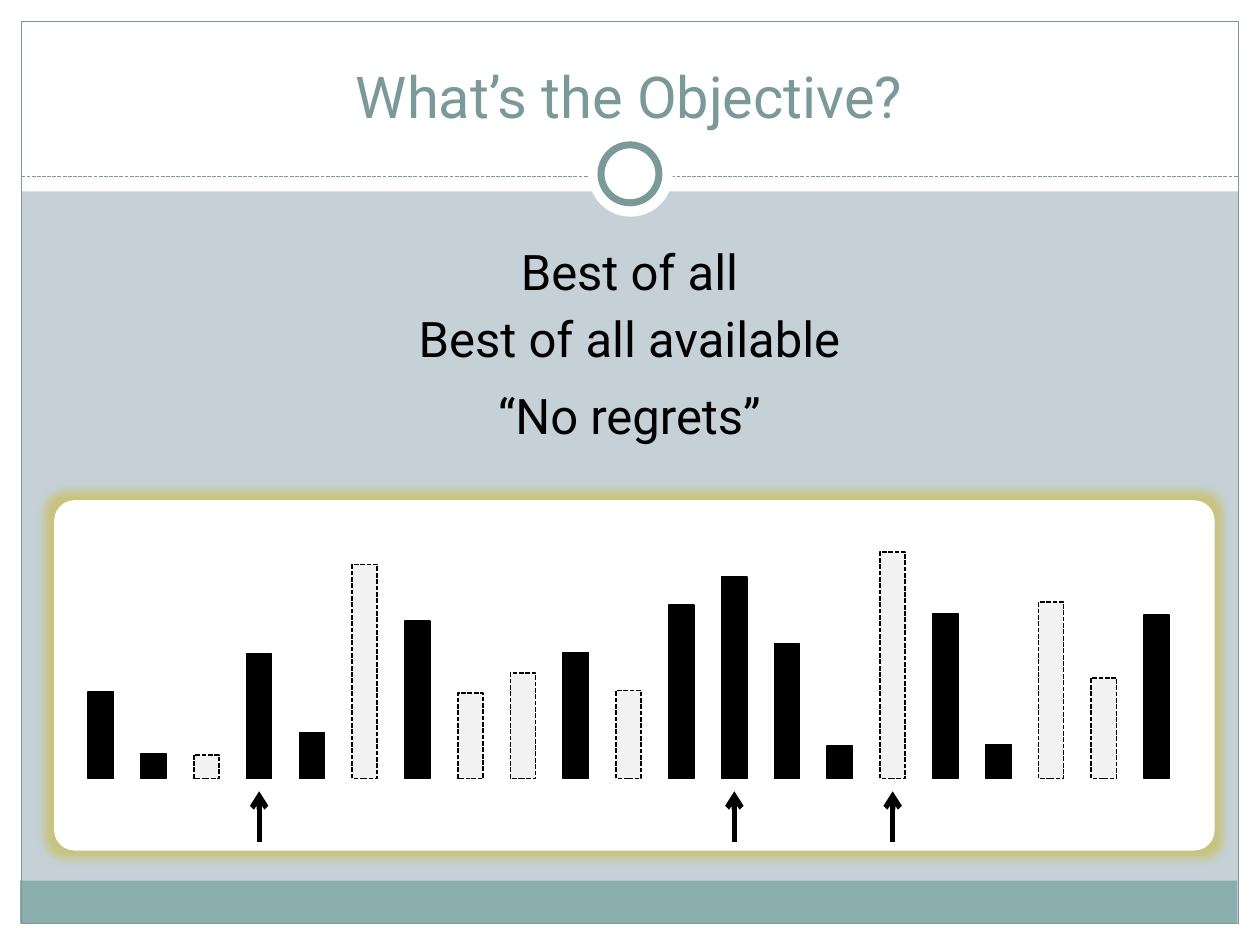
from lxml import etree
from pptx import Presentation
from pptx import util as u
from pptx.dml.color import RGBColor
from pptx.enum import dml, shapes, text
from pptx.oxml import ns

WHITE = RGBColor(0xFF, 0xFF, 0xFF)
BLACK = RGBColor(0, 0, 0)
MIST = RGBColor(0xC5, 0xD1, 0xD7)
TEAL = RGBColor(0x8C, 0xAD, 0xAE)
SLATE = RGBColor(0x7C, 0x99, 0x9A)
PALE = RGBColor(0xF2, 0xF2, 0xF2)
OLIVE = RGBColor(0xC8, 0xC4, 0x7F)

BAR_LEFT, BAR_PITCH, BAR_WIDTH, BAR_BASE = 0.7, 0.419, 0.2, 6.18
BAR_HEIGHTS = [0.69, 0.2, 0.19, 0.99, 0.36, 1.7, 1.25, 0.68, 0.84, 1, 0.7,
               1.38, 1.6, 1.07, 0.26, 1.8, 1.31, 0.27, 1.4, 0.8, 1.3]
UNAVAILABLE = {2, 5, 7, 8, 10, 15, 18, 19}
CHOICES = [15, 12, 3]


class SlideBuilder:
    """Draws styled elements on the current slide."""

    font = "Roboto"

    def __init__(self, slide):
        self.s = slide

    def stroke(self, line, color, width, dashed=False):
        line.color.rgb = color
        line.width = u.Pt(width)
        if dashed:
            line.dash_style = dml.MSO_LINE.SQUARE_DOT

    def shape(self, kind, box, fill=None, line=None, width=0.75, dashed=False):
        sp = self.s.shapes.add_shape(kind, *map(u.Inches, box))
        sp.shadow.inherit = False
        if fill is None:
            sp.fill.background()
        else:
            sp.fill.solid()
            sp.fill.fore_color.rgb = fill
        if line is None:
            sp.line.fill.background()
        else:
            self.stroke(sp.line, line, width, dashed)
        return sp

    def rect(self, box, *args, **kwargs):
        return self.shape(shapes.MSO_SHAPE.RECTANGLE, box, *args, **kwargs)

    def oval(self, box, *args, **kwargs):
        return self.shape(shapes.MSO_SHAPE.OVAL, box, *args, **kwargs)

    def glowing_panel(self, box, radius, fill, glow, spread):
        sp = self.shape(shapes.MSO_SHAPE.ROUNDED_RECTANGLE, box, fill)
        sp.adjustments[0] = radius
        effects = sp._element.spPr.find(ns.qn("a:effectLst"))
        halo = etree.SubElement(effects, ns.qn("a:glow"), rad=str(u.Inches(spread)))
        etree.SubElement(halo, ns.qn("a:srgbClr"), val=str(glow))

    def line(self, start, end, color, width, dashed=False, arrow=False):
        c = self.s.shapes.add_connector(
            shapes.MSO_CONNECTOR.STRAIGHT, *map(u.Inches, (*start, *end)))
        self.stroke(c.line, color, width, dashed)
        if arrow:
            etree.SubElement(c.line._get_or_add_ln(), ns.qn("a:tailEnd"), type="arrow")
        etree.SubElement(c._element.spPr, ns.qn("a:effectLst"))

    def text(self, box, words, size, color, anchor=text.MSO_ANCHOR.TOP):
        tf = self.s.shapes.add_textbox(*map(u.Inches, box)).text_frame
        tf.word_wrap = True
        tf.vertical_anchor = anchor
        tf.text = words
        p = tf.paragraphs[0]
        p.alignment = text.PP_ALIGN.CENTER
        r = p.runs[0]
        r.font.name = self.font
        r.font.size = u.Pt(size)
        r.font.color.rgb = color


def main():
    prs = Presentation()
    prs.slide_width, prs.slide_height = u.Inches(10), u.Inches(7.5)
    s = prs.slides.add_slide(prs.slide_layouts[6])
    s.background.fill.solid()
    s.background.fill.fore_color.rgb = MIST
    b = SlideBuilder(s)

    for box in [(0, 7.33, 10, 0.17), (0, 0, 10, 1.52),
                (0, 0, 0.17, 7.5), (9.83, 0, 0.17, 7.5)]:
        b.rect(box, WHITE)
    b.rect((0.16, 6.99, 9.66, 0.34), TEAL)
    b.rect((0.17, 0.17, 9.66, 7.16), line=SLATE)
    b.line((0.17, 1.4), (9.83, 1.4), SLATE, 0.75, dashed=True)
    b.oval((4.67, 1.05, 0.67, 0.67), WHITE)
    b.oval((4.77, 1.15, 0.46, 0.46), WHITE, SLATE, 4)

    b.text((0.33, 0.25, 9.33, 0.83), "What’s the Objective?", 33, SLATE,
           text.MSO_ANCHOR.BOTTOM)
    for top, words in [(1.87, "Best of all"), (2.4, "Best of all available"),
                       (3.01, "“No regrets”")]:
        b.text((0.34, top, 9.31, 0.57), words, 28, BLACK)

    b.glowing_panel((0.43, 3.97, 9.21, 2.78), 0.058, WHITE, OLIVE, 0.15)
    for i, height in enumerate(BAR_HEIGHTS):
        missing = i in UNAVAILABLE
        b.rect((BAR_LEFT + i * BAR_PITCH, BAR_BASE - height, BAR_WIDTH, height),
               PALE if missing else BLACK, BLACK, 0.9, missing)
    for i in CHOICES:
        x = BAR_LEFT + i * BAR_PITCH + BAR_WIDTH / 2
        b.line((x, 6.68), (x, 6.28), BLACK, 3, arrow=True)

    prs.save("out.pptx")


if __name__ == "__main__":
    main()
